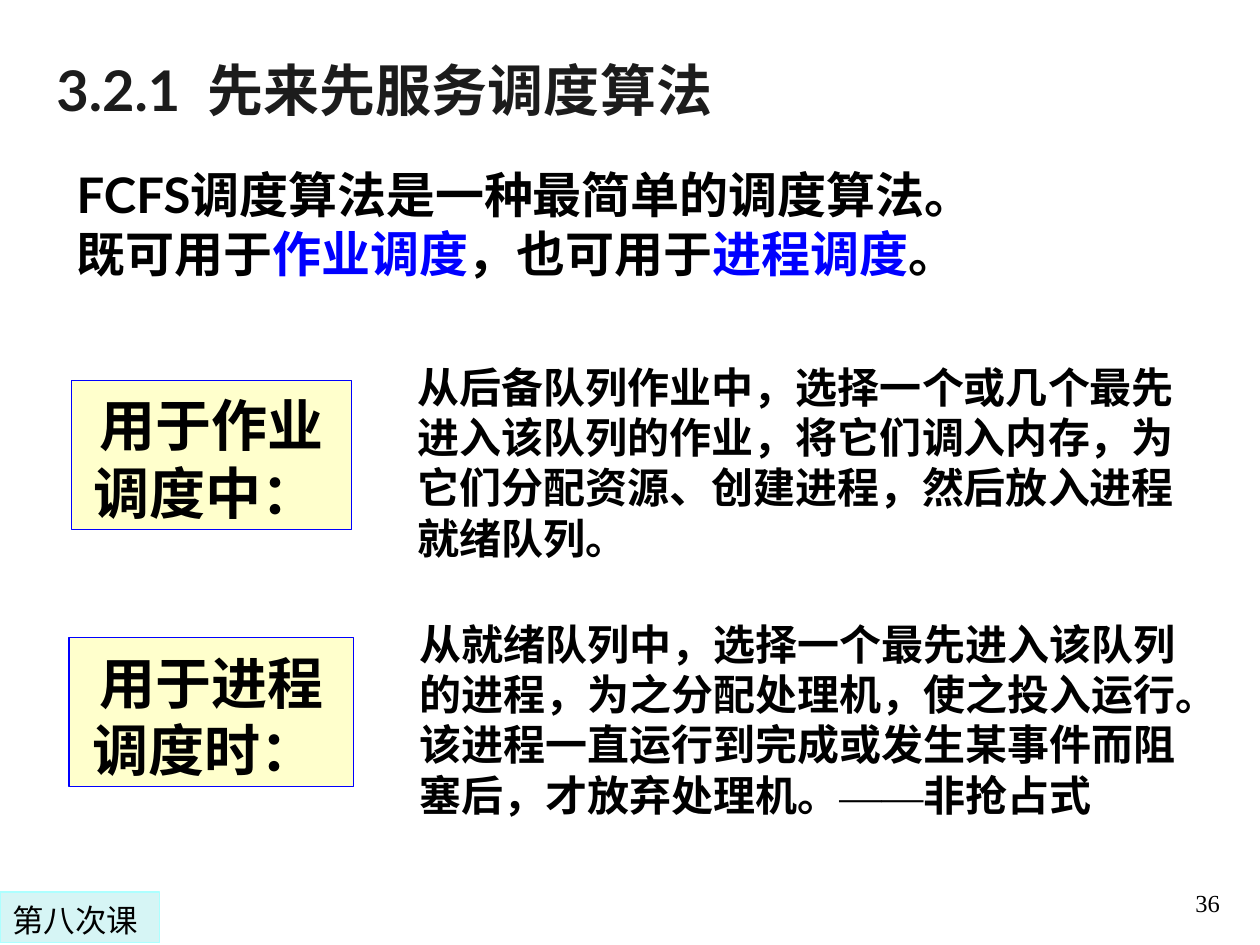
"""Build the slide on first-come, first-served scheduling."""
from lxml.etree import SubElement
from pptx import Presentation
from pptx.dml.color import RGBColor
from pptx.enum.shapes import MSO_SHAPE
from pptx.enum.text import MSO_ANCHOR, PP_ALIGN
from pptx.oxml.ns import qn
from pptx.util import Pt

THEME = {
    "color": {"ink": "000000", "title": "1C1C1C", "key": "0000FF",
              "card": "FFFFCC", "tag": "D6F5F5", "tag_line": "ADFFFF"},
    "size": {"title": 32, "lead": 28, "label": 32, "body": 24, "tag": 18, "number": 14},
    "latin": "Lato", "cjk": "Noto Sans CJK SC",
    "serif": "Times New Roman", "tag_font": "DejaVu Sans",
    "leading": 1.2, "drop": 0.075, "inset": 3.6, "line": 0.75,
}
TITLE = [[("3.2.1  先来先服务调度算法", {"color": "title"})]]
LEAD = [
    [("FCFS", {}), ("调度算法是一种最简单的调度算法。", {})],
    [("既可用于", {}), ("作业调度", {"color": "key"}), ("，也可用于", {}),
     ("进程调度", {"color": "key"}), ("。", {})],
]
CASES = [
    ("用于作业调度中： ", (41, 217.4, 160, 85), (231.8, 200.9, 455.8, 123.8),
     [("从后备队列作业中，选择一个或几个最先进入该队列的作业，将它们调入内存，"
       "为它们分配资源、创建进程，然后放入进程就绪队列。", {})]),
    ("用于进程调度时： ", (39.4, 364.3, 162.7, 85), (232.6, 347.8, 464.4, 123.8),
     [("从就绪队列中，选择一个最先进入该队列的进程，为之分配处理机，使之投入运行。"
       "该进程一直运行到完成或发生某事件而阻塞后，才放弃处理机。", {}),
      ("——", {"latin": "serif", "cjk": "serif", "bold": False}), ("非抢占式", {})]),
]
TAG = [[("第八次课", {"latin": "tag_font", "bold": False})]]
NUMBER = [[("36", {"latin": "serif", "bold": False})]]


def rgb(name):
    return RGBColor.from_string(THEME["color"][name])


def add_run(p, text, size, color="ink", latin="latin", cjk="cjk", bold=True):
    r = p.add_run()
    r.text = text
    r.font.size, r.font.bold = Pt(size), bold
    r.font.color.rgb = rgb(color)
    r.font.name = THEME[latin]
    SubElement(r.font._element, qn("a:ea")).set("typeface", THEME[cjk])


def add_text(s, box, paras, role, align=PP_ALIGN.LEFT, anchor=MSO_ANCHOR.TOP,
             fill=None, line=None):
    box = [Pt(v) for v in box]
    if fill:
        sp = s.shapes.add_shape(MSO_SHAPE.RECTANGLE, *box)
        sp.shadow.inherit = False
        sp.fill.solid()
        sp.fill.fore_color.rgb = rgb(fill)
        sp.line.color.rgb = rgb(line)
        sp.line.width = Pt(THEME["line"])
    else:
        sp = s.shapes.add_textbox(*box)
    size = THEME["size"][role]
    drop = 0 if role == "number" else THEME["drop"] * size
    tf = sp.text_frame
    tf.word_wrap, tf.vertical_anchor = True, anchor
    tf.margin_top, tf.margin_bottom = Pt(THEME["inset"] + drop), Pt(THEME["inset"] - drop)
    for i, runs in enumerate(paras):
        p = tf.add_paragraph() if i else tf.paragraphs[0]
        p.alignment, p.line_spacing = align, Pt(THEME["leading"] * size)
        for text, style in runs:
            add_run(p, text, size, **style)


def main():
    prs = Presentation()
    prs.slide_width, prs.slide_height = Pt(720), Pt(540)
    s = prs.slides.add_slide(prs.slide_layouts[6])
    add_text(s, (554.4, 491.8, 149.8, 36), NUMBER, "number",
             PP_ALIGN.RIGHT, MSO_ANCHOR.BOTTOM)
    add_text(s, (25.2, 16.6, 679, 54.7), TITLE, "title", anchor=MSO_ANCHOR.BOTTOM)
    add_text(s, (36.7, 88.6, 664.6, 74.9), LEAD, "lead")
    for label, label_box, body_box, body in CASES:
        add_text(s, label_box, [[(label, {})]], "label", PP_ALIGN.CENTER,
                 fill="card", line="key")
        add_text(s, body_box, [body], "body")
    add_text(s, (0, 509.8, 91.4, 28.8), TAG, "tag", fill="tag", line="tag_line")
    prs.save("out.pptx")


if __name__ == "__main__":
    main()
